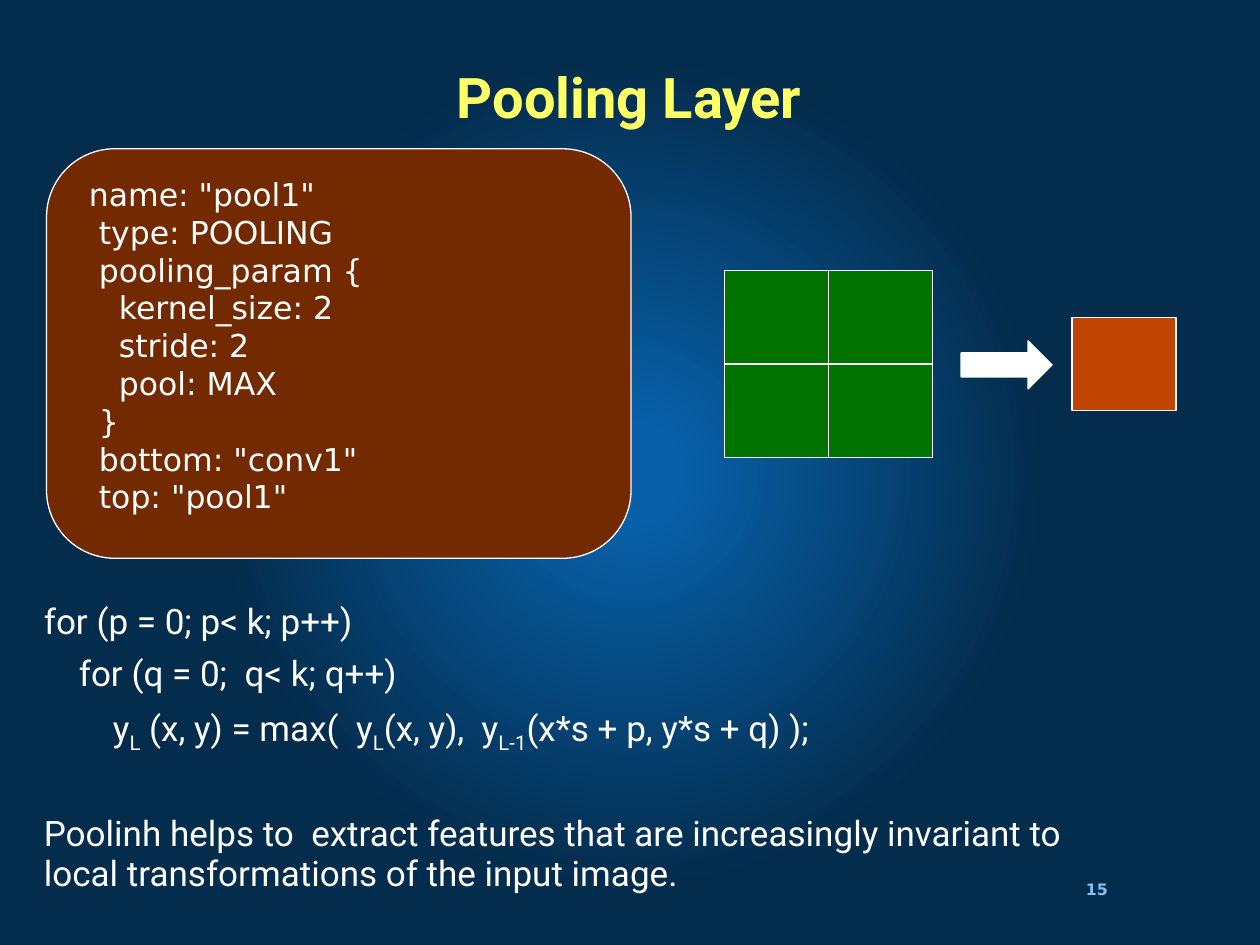
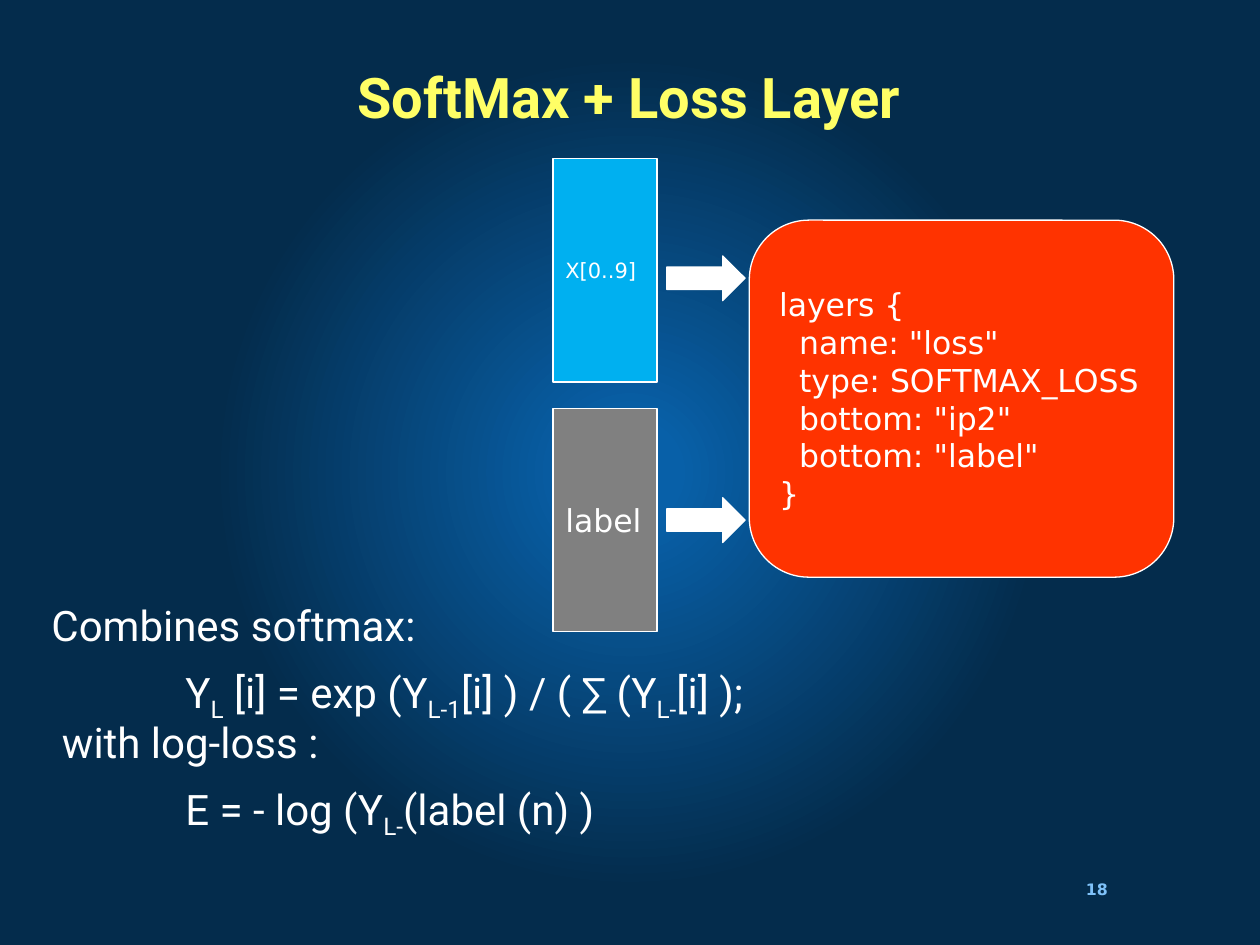
from lxml import etree
from pptx import Presentation
from pptx.dml.color import RGBColor
from pptx.enum.shapes import MSO_SHAPE
from pptx.enum.text import MSO_ANCHOR, PP_ALIGN
from pptx.oxml.ns import qn
from pptx.util import Pt

RECTANGLE = MSO_SHAPE.RECTANGLE
ROUNDED = MSO_SHAPE.ROUNDED_RECTANGLE
ARROW = MSO_SHAPE.RIGHT_ARROW
TOP, MIDDLE = MSO_ANCHOR.TOP, MSO_ANCHOR.MIDDLE
LEFT, CENTER = PP_ALIGN.LEFT, PP_ALIGN.CENTER

COLORS = {
    "glow": "0860A8", "night": "042C4C", "title": "FFFF66",
    "number": "7FC2F9", "white": "FFFFFF", "brown": "742A00",
    "green": "007300", "orange": "BF4500", "red": "FF3300",
    "gray": "808080", "sky": "00B0F0",
}
TITLE_FONT, CODE_FONT = "Roboto", "DejaVu Sans"
CODE_SPACE = 5.72
SUBSCRIPT_MARK = "|"

POOLING_CODE = [
    (1, 'name: "pool1"'),
    (2, "type: POOLING"),
    (2, "pooling_param {"),
    (4, "kernel_size: 2"),
    (4, "stride: 2"),
    (4, "pool: MAX"),
    (2, "}"),
    (2, 'bottom: "conv1"'),
    (2, 'top: "pool1"'),
]
LOSS_CODE = [
    (0, "layers {"),
    (2, 'name: "loss"'),
    (2, "type: SOFTMAX_LOSS"),
    (2, 'bottom: "ip2"'),
    (2, 'bottom: "label"'),
    (0, "}"),
]
POOLING_NOTES = [
    (0, 0, "for (p = 0; p< k; p++)"),
    (20, 7, "for (q = 0;  q< k; q++)"),
    (39.5, 7, "y|L| (x, y) = max(  y|L|(x, y),  y|L-1|(x*s + p, y*s + q) );"),
    (0, 36, "Poolinh helps to  extract features that are increasingly "
            "invariant to local transformations of the input image."),
]
LOSS_NOTES = [
    (0, 0, "Combines softmax:"),
    (76.5, 8.5, "Y|L| [i] = exp (Y|L-1|[i] ) / ( ∑ (Y|L-|[i] );"),
    (6, 0, "with log-loss :"),
    (76.5, 8.5, "E = - log (Y|L-|(label (n) )"),
]
LOSS_INPUTS = [("X[0..9]", 12, "sky", 90.7, 146.2), ("label", 18, "gray", 233.3, 284.4)]


def color(name):
    return RGBColor.from_string(COLORS[name])


def style_runs(paragraph, font, size, ink="white", bold=False):
    for run in paragraph.runs:
        run.font.name = font
        run.font.size = Pt(size)
        run.font.bold = bold
        run.font.color.rgb = color(ink)


def set_indent(paragraph, points):
    paragraph._p.get_or_add_pPr().set("marL", str(Pt(points)))


def add_text_box(slide, box, anchor=TOP, margin=True):
    frame = slide.shapes.add_textbox(*map(Pt, box)).text_frame
    frame.word_wrap = True
    frame.vertical_anchor = anchor
    if not margin:
        frame.margin_left = frame.margin_right = 0
        frame.margin_top = frame.margin_bottom = 0
    return frame


def add_label(slide, box, text, font, size, ink, margin=True):
    frame = add_text_box(slide, box, MIDDLE, margin)
    frame.text = text
    paragraph = frame.paragraphs[0]
    paragraph.alignment = CENTER
    paragraph.line_spacing = 0.9
    style_runs(paragraph, font, size, ink, True)


def add_block(slide, kind, box, fill, lines=(), size=18, anchor=MIDDLE):
    shape = slide.shapes.add_shape(kind, *map(Pt, box))
    shape.shadow.inherit = False
    shape.fill.solid()
    shape.fill.fore_color.rgb = color(fill)
    shape.line.color.rgb = color("white")
    shape.line.width = Pt(0.75)
    if lines:
        frame = shape.text_frame
        frame.word_wrap = True
        frame.vertical_anchor = anchor
        frame.text = "\n".join(text for _, text in lines)
        for paragraph, (spaces, _) in zip(frame.paragraphs, lines):
            paragraph.alignment = LEFT
            set_indent(paragraph, spaces * CODE_SPACE)
            style_runs(paragraph, CODE_FONT, size)


def add_notes(slide, box, notes, size):
    frame = add_text_box(slide, box)
    for index, (indent, gap, text) in enumerate(notes):
        paragraph = frame.add_paragraph() if index else frame.paragraphs[0]
        paragraph.line_spacing = 0.95
        paragraph.space_before = Pt(gap)
        set_indent(paragraph, indent)
        for position, part in enumerate(text.split(SUBSCRIPT_MARK)):
            run = paragraph.add_run()
            run.text = part
            if position % 2:
                run._r.get_or_add_rPr().set("baseline", "-25000")
        style_runs(paragraph, TITLE_FONT, size)


def set_background(master):
    fill = master.background.fill
    fill.gradient()
    for stop, position, name in zip(fill.gradient_stops, (0.06, 0.53), ("glow", "night")):
        stop.position = position
        stop.color.rgb = color(name)
    gradient = master.element.find(".//" + qn("p:bgPr") + "/" + qn("a:gradFill"))
    gradient.remove(gradient.find(qn("a:lin")))
    circle = etree.SubElement(gradient, qn("a:path"), {"path": "circle"})
    etree.SubElement(circle, qn("a:fillToRect"), {side: "50000" for side in "ltrb"})


def add_slide(presentation, title, number):
    slide = presentation.slides.add_slide(presentation.slide_layouts[6])
    add_label(slide, (610.6, 496.8, 32.4, 23.8), number, CODE_FONT, 9, "number", False)
    add_label(slide, (28, 12.2, 663, 90), title, TITLE_FONT, 32, "title")
    return slide


def build_pooling(presentation):
    slide = add_slide(presentation, "Pooling Layer", "15")
    add_notes(slide, (18, 340.6, 633.6, 98.6), POOLING_NOTES, 20)
    add_block(slide, ROUNDED, (26.6, 85, 334, 234), "brown", POOLING_CODE, anchor=TOP)
    left, top, width, height = 414, 154.6, 59.4, 53.4
    for column in range(2):
        for row in range(2):
            cell = (left + column * width, top + row * height, width, height)
            add_block(slide, RECTANGLE, cell, "green")
    add_block(slide, RECTANGLE, (612.6, top + height / 2, width, height), "orange")
    add_block(slide, ARROW, (549.2, 194.8, 52, 27.4), "white")


def build_loss(presentation):
    slide = add_slide(presentation, "SoftMax + Loss Layer", "18")
    add_notes(slide, (22.3, 341.3, 661, 140.4), LOSS_NOTES, 24)
    add_block(slide, ROUNDED, (428.2, 125.8, 242.6, 204), "red", LOSS_CODE)
    for text, size, fill, top, arrow_top in LOSS_INPUTS:
        add_block(slide, RECTANGLE, (316, top, 59.4, 127.6), fill, [(0, text)], size)
        add_block(slide, ARROW, (381, arrow_top, 44.8, 25.6), "white")


def main():
    presentation = Presentation()
    presentation.slide_width, presentation.slide_height = Pt(720), Pt(540)
    set_background(presentation.slide_master)
    build_pooling(presentation)
    build_loss(presentation)
    presentation.save("out.pptx")


if __name__ == "__main__":
    main()
